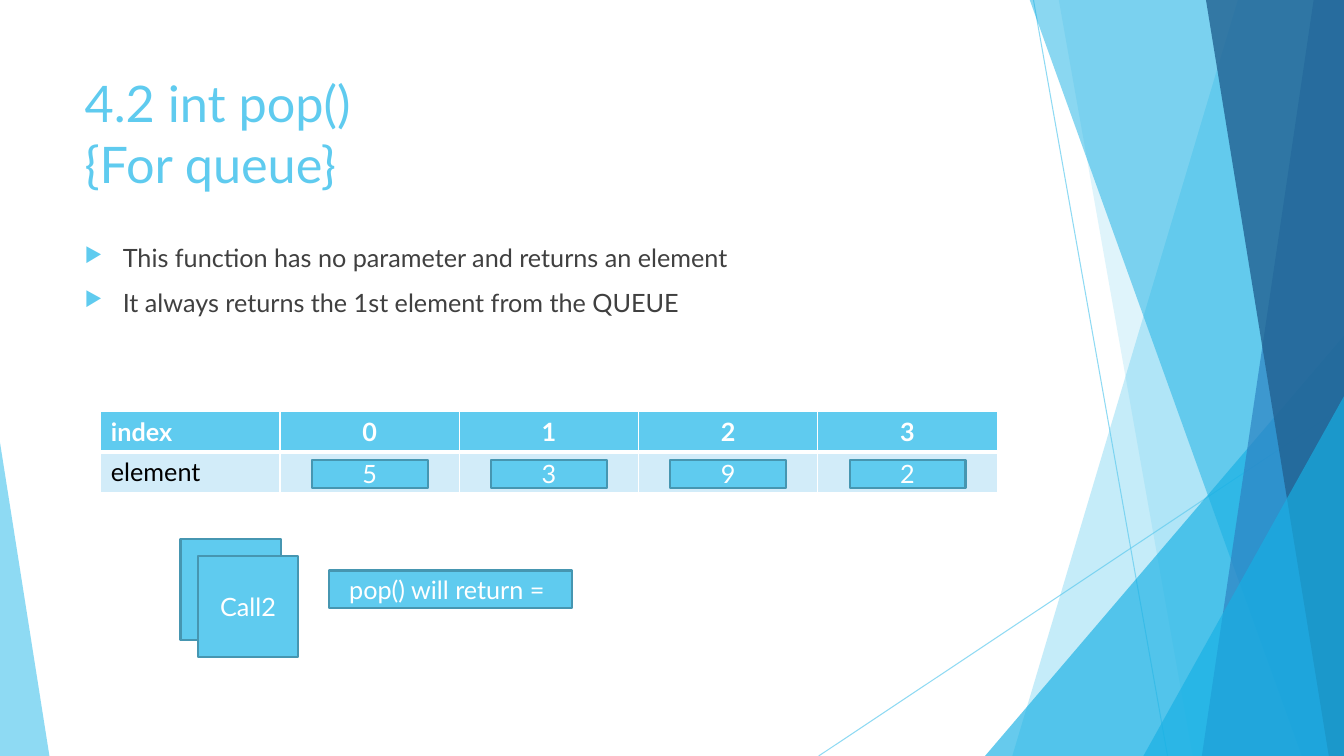
from lxml import etree
from pptx import Presentation
from pptx.dml.color import RGBColor
from pptx.enum.shapes import MSO_CONNECTOR, MSO_SHAPE
from pptx.enum.text import MSO_ANCHOR, PP_ALIGN
from pptx.oxml.ns import qn
from pptx.util import Inches, Pt

CENTER = PP_ALIGN.CENTER
MIDDLE = MSO_ANCHOR.MIDDLE
RECTANGLE = MSO_SHAPE.RECTANGLE
TRIANGLE = MSO_SHAPE.ISOSCELES_TRIANGLE
STRAIGHT = MSO_CONNECTOR.STRAIGHT

WIDTH, HEIGHT = 13.33, 7.5
COLORS = {
    "sky": "5FCBEF",
    "cyan": "17B0E4",
    "blue": "2E83C3",
    "navy": "226292",
    "outline": "4696B1",
    "pale": "D2ECF9",
    "body": "404040",
    "black": "000000",
    "white": "FFFFFF",
}


def add_child(parent, tag, **attributes):
    return etree.SubElement(parent, qn(tag), attributes)


class SlideBuilder:
    def __init__(self, slide, font="Lato", size=18):
        self.slide = slide
        self.shapes = slide.shapes
        self.font = font
        self.size = size

    def paint(self, fill_format, color, opacity=100):
        fill_format.solid()
        fill_format.fore_color.rgb = RGBColor.from_string(COLORS[color])
        if opacity < 100:
            color_node = next(fill_format._xPr.iter(qn("a:srgbClr")))
            add_child(color_node, "a:alpha", val=str(opacity * 1000))

    def style(self, paragraph, color, size=None, bold=False, align=None):
        font = paragraph.font
        font.name = self.font
        font.size = Pt(size or self.size)
        font.bold = bold
        font.color.rgb = RGBColor.from_string(COLORS[color])
        paragraph.alignment = align

    def ray(self, start, end):
        line = self.shapes.add_connector(STRAIGHT, *map(Inches, start + end))
        line.line.width = Pt(0.75)
        self.paint(line.line.fill, "sky", 70)
        add_child(line._element.spPr, "a:effectLst")

    def finish_facet(self, facet, color, opacity):
        self.paint(facet.fill, color, opacity)
        facet.line.fill.background()
        facet.shadow.inherit = False

    def facet(self, top_x, bottom_x, color, opacity):
        """Fill the area from a slanted left edge to the right of the slide."""
        top = -0.01
        builder = self.shapes.build_freeform(Inches(top_x), Inches(top))
        corners = [(WIDTH, top), (WIDTH, HEIGHT), (bottom_x, HEIGHT)]
        builder.add_line_segments([(Inches(x), Inches(y)) for x, y in corners])
        self.finish_facet(builder.convert_to_shape(), color, opacity)

    def corner(self, left, top, width, apex, color, opacity):
        """Stand a right triangle on the bottom edge, apex 0 left or 1 right."""
        box = (left, top, width, HEIGHT - top)
        triangle = self.shapes.add_shape(TRIANGLE, *map(Inches, box))
        triangle.adjustments[0] = apex
        self.finish_facet(triangle, color, opacity)

    def text_frame(self, box, text):
        frame = self.shapes.add_textbox(*map(Inches, box)).text_frame
        frame.word_wrap = True
        frame.text = text
        return frame

    def title(self, box, text):
        frame = self.text_frame(box, text)
        self.style(frame.paragraphs[0], "sky", size=36)

    def bullets(self, box, items):
        indent = Inches(0.38)
        for paragraph in self.text_frame(box, "\n".join(items)).paragraphs:
            paragraph.space_before = Pt(10)
            properties = paragraph._p.get_or_add_pPr()
            properties.set("marL", str(indent))
            properties.set("indent", str(-indent))
            bullet_color = add_child(properties, "a:buClr")
            add_child(bullet_color, "a:srgbClr", val=COLORS["sky"])
            add_child(properties, "a:buSzPct", val="80000")
            add_child(properties, "a:buChar", char="▶")
            self.style(paragraph, "body")

    def block(self, box, text=None):
        block = self.shapes.add_shape(RECTANGLE, *map(Inches, box))
        self.paint(block.fill, "sky")
        self.paint(block.line.fill, "outline")
        block.line.width = Pt(1.5)
        block.shadow.inherit = False
        if text:
            frame = block.text_frame
            frame.word_wrap = True
            frame.vertical_anchor = MIDDLE
            frame.text = text
            self.style(frame.paragraphs[0], "white", align=CENTER)

    def borders(self, cell, top, bottom):
        properties = cell._tc.get_or_add_tcPr()
        widths = {"a:lnL": 1, "a:lnR": 1, "a:lnT": top, "a:lnB": bottom}
        for side, width in widths.items():
            border = add_child(properties, side, w=str(Pt(width)))
            solid = add_child(border, "a:solidFill")
            add_child(solid, "a:srgbClr", val=COLORS["white"])

    def table(self, box, rows):
        frame = self.shapes.add_table(len(rows), len(rows[0]), *map(Inches, box))
        table = frame.table
        table.first_row = table.horz_banding = False
        for r, row in enumerate(rows):
            header = r == 0
            for c, text in enumerate(row):
                cell = table.cell(r, c)
                cell.text = text
                self.style(cell.text_frame.paragraphs[0],
                           "white" if header else "black",
                           bold=header, align=CENTER if c else None)
                self.borders(cell, *((1, 3) if header else (3, 1)))
                self.paint(cell.fill, "sky" if header else "pale")


def draw_backdrop(builder):
    builder.ray((10.25, 0), (11.58, HEIGHT))
    builder.ray((WIDTH, 4.03), (8.12, HEIGHT))
    builder.facet(12.28, 10.04, "sky", 36)
    builder.facet(10.5, 11.83, "sky", 20)
    builder.corner(9.77, 3.33, 3.56, 1, "cyan", 66)
    builder.facet(10.21, 12.91, "cyan", 50)
    builder.facet(13.03, 11.92, "blue", 70)
    builder.facet(11.96, 13.18, "navy", 80)
    builder.corner(11.34, 3.93, 1.99, 1, "cyan", 66)
    builder.corner(0, 4.39, 0.49, 0, "sky", 70)


def draw_queue(builder, values):
    left, top, width, height = 1, 4.08, 8.89, 0.81
    indexes = [str(i) for i in range(len(values))]
    builder.table((left, top, width, height),
                  [["index"] + indexes, ["element"] + [""] * len(values)])
    column = width / (len(values) + 1)
    block_width = 1.15
    for position, value in enumerate(values, start=1):
        block_left = left + position * column + (column - block_width) / 2
        builder.block((block_left, 4.56, block_width, 0.28), value)


def main():
    presentation = Presentation()
    presentation.slide_width = Inches(WIDTH)
    presentation.slide_height = Inches(HEIGHT)
    slide = presentation.slides.add_slide(presentation.slide_layouts[6])
    builder = SlideBuilder(slide)

    draw_backdrop(builder)
    builder.title((0.74, 0.67, 9.4, 1.44), "4.2 int pop()\v{For queue}")
    builder.bullets((0.74, 2.36, 9.4, 4.24), [
        "This function has no parameter and returns an element",
        "It always returns the 1st element from the QUEUE",
    ])
    draw_queue(builder, ["5", "3", "9", "2"])
    builder.block((3.26, 5.66, 2.41, 0.37), "pop() will return = ")
    builder.block((1.79, 5.35, 1, 1))
    builder.block((1.96, 5.52, 1, 1), "Call2")

    presentation.save("out.pptx")


if __name__ == "__main__":
    main()
